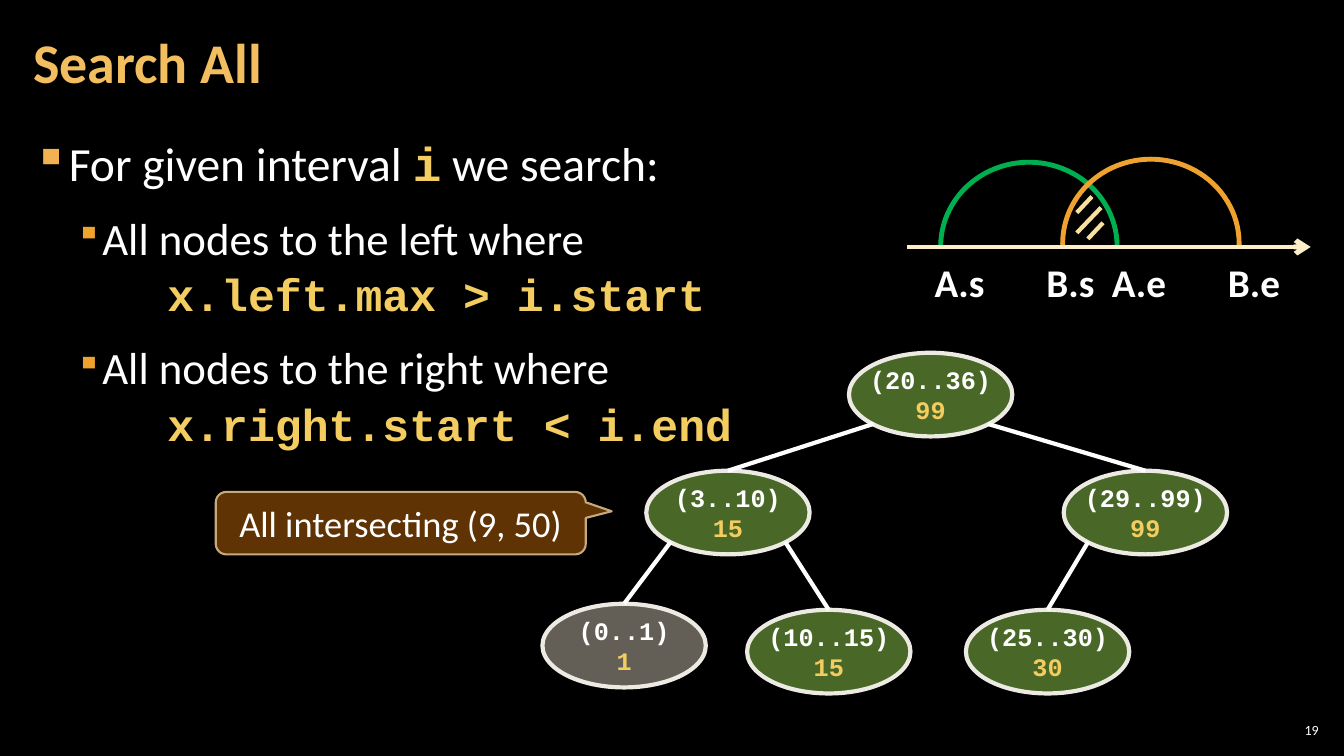
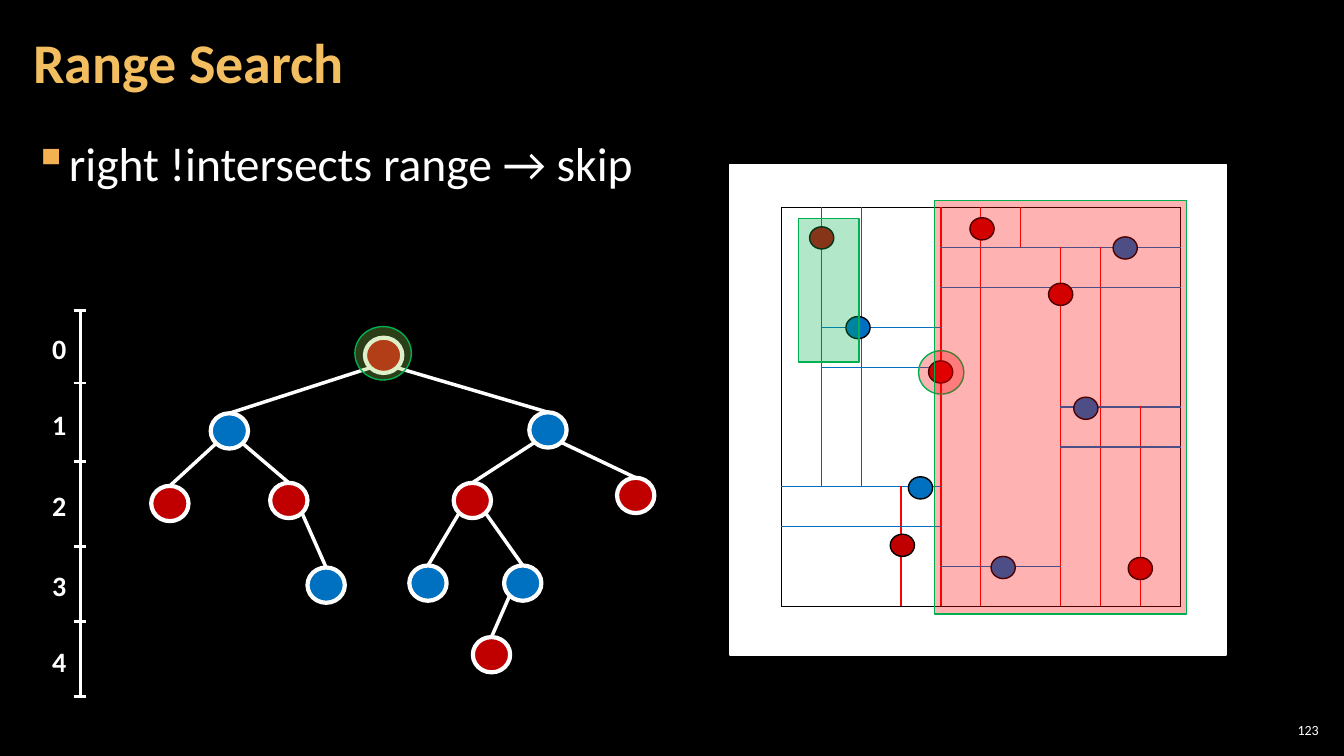
import collections
import itertools

import lxml.etree
import pptx
import pptx.dml.color
import pptx.enum.shapes
import pptx.enum.text
import pptx.oxml.ns
import pptx.util

Inches = pptx.util.Inches
Pt = pptx.util.Pt
qn = pptx.oxml.ns.qn
SHAPE = pptx.enum.shapes.MSO_SHAPE
STRAIGHT = pptx.enum.shapes.MSO_CONNECTOR.STRAIGHT
ALIGN = pptx.enum.text.PP_ALIGN
MIDDLE = pptx.enum.text.MSO_ANCHOR.MIDDLE
hex_color = pptx.dml.color.RGBColor.from_string

WHITE, BLACK, RED, BLUE = "FFFFFF", "000000", "C00000", "0070C0"
LIME, GREEN, ORANGE, YELLOW = "92D050", "00B050", "F0A22E", "F3CD60"
BRIGHT_RED = "FF0000"
CODE_FONT = "Courier New"


def paint(item, line, width=1, fill=None, opacity=100):
    item.line.color.rgb = hex_color(line)
    item.line.width = Pt(width)
    properties = item._element.spPr
    if fill:
        item.fill.solid()
        item.fill.fore_color.rgb = hex_color(fill)
        if opacity < 100:
            tint = properties.find(qn("a:solidFill"))[0]
            lxml.etree.SubElement(tint, qn("a:alpha")).set("val", str(opacity * 1000))
    elif hasattr(item, "fill"):
        item.fill.background()
    lxml.etree.SubElement(properties, qn("a:effectLst"))


def write(paragraph, text, size, color=WHITE, font="Calibri", bold=False, align=ALIGN.LEFT):
    paragraph.alignment = align
    run = paragraph.add_run()
    run.text = text
    run.font.size = Pt(size)
    run.font.name = font
    run.font.bold = bold
    run.font.color.rgb = hex_color(color)


deck = pptx.Presentation()
deck.slide_width, deck.slide_height = Inches(13.33), Inches(7.5)
backdrop = deck.slide_master.background.fill
backdrop.solid()
backdrop.fore_color.rgb = hex_color(BLACK)

# indent, hanging, size, space before, space after, bullet colour, bullet percent
levels = {
    "topic": (0.33, 0.33, 34, 6, 6, "F2B254", 100),
    "item": (0.67, 0.25, 32, 6, 0, ORANGE, 80),
    "code": (1.33, 0, 32, 0, 6, None, None),
}
pages = [
    ("Search All", "19", [
        ("topic", ["For given interval ", "i", " we search:"]),
        ("item", ["All nodes to the left where"]),
        ("code", ["x.left.max > i.start"]),
        ("item", ["All nodes to the right where"]),
        ("code", ["x.right.start < i.end"]),
    ]),
    ("Range Search", "123", [("topic", ["right !intersects range → skip"])]),
]
slides = []
for heading, number, outline in pages:
    slide = deck.slides.add_slide(deck.slide_layouts[5])
    slides.append(slide)
    title = slide.shapes.title
    title.left, title.top, title.width, title.height = map(Inches, (0.21, 0.04, 10.47, 1.21))
    body = slide.shapes.add_textbox(*map(Inches, (0.21, 1.26, 12.91, 6.09)))
    footer = slide.shapes.add_textbox(*map(Inches, (12.65, 7.14, 0.47, 0.21)))
    for part, inset in ((title, 0.12), (body, 0.12), (footer, 0.04)):
        frame = part.text_frame
        frame.word_wrap = True
        frame.margin_left = frame.margin_right = Inches(inset)
        frame.margin_top = frame.margin_bottom = Inches(0.04)
    title.text_frame.vertical_anchor = footer.text_frame.vertical_anchor = MIDDLE
    title.text_frame.paragraphs[0].line_spacing = 0.9
    write(title.text_frame.paragraphs[0], heading, 40, color="F3BE60", bold=True)
    write(footer.text_frame.paragraphs[0], number, 10, align=ALIGN.RIGHT)

    for row, (level, pieces) in enumerate(outline):
        indent, hanging, size, before, after, bullet, percent = levels[level]
        line = body.text_frame.add_paragraph() if row else body.text_frame.paragraphs[0]
        line.line_spacing = 1.05
        line.space_before, line.space_after = Pt(before), Pt(after)
        for position, piece in enumerate(pieces):
            if level == "code" or position % 2:
                write(line, piece, size, color=YELLOW, font=CODE_FONT, bold=True)
            else:
                write(line, piece, size)
        settings = line._p.get_or_add_pPr()
        settings.set("marL", str(Inches(indent)))
        settings.set("indent", str(-Inches(hanging)))
        if bullet:
            tint = lxml.etree.SubElement(settings, qn("a:buClr"))
            lxml.etree.SubElement(tint, qn("a:srgbClr")).set("val", bullet)
            lxml.etree.SubElement(settings, qn("a:buSzPct")).set("val", str(percent * 1000))
            lxml.etree.SubElement(settings, qn("a:buChar")).set("char", "▪")
        else:
            lxml.etree.SubElement(settings, qn("a:buNone"))

search, kd_range = slides

plot = kd_range.shapes.add_shape(SHAPE.RECTANGLE, *map(Inches, (7.24, 1.63, 4.92, 4.87)))
paint(plot, WHITE, fill=WHITE)

# left, top, fill, parent, labels
interval_nodes = [
    (8.42, 3.5, LIME, None, ("(20..36)", "99")),
    (6.41, 4.67, LIME, 0, ("(3..10)", "15")),
    (10.55, 4.67, LIME, 0, ("(29..99)", "99")),
    (5.38, 5.99, "C7BFAC", 1, ("(0..1)", "1")),
    (7.41, 6.05, LIME, 1, ("(10..15)", "15")),
    (9.58, 6.05, LIME, 2, ("(25..30)", "30")),
]
kd_nodes = [
    (3.62, 3.35, RED, None, ()),
    (2.09, 4.1, BLUE, 0, ()),
    (5.25, 4.09, BLUE, 0, ()),
    (1.5, 4.82, RED, 1, ()),
    (2.68, 4.79, RED, 1, ()),
    (4.5, 4.79, RED, 2, ()),
    (6.12, 4.74, RED, 2, ()),
    (3.05, 5.63, BLUE, 4, ()),
    (4.06, 5.61, BLUE, 5, ()),
    (5, 5.61, BLUE, 5, ()),
    (4.69, 6.32, RED, 9, ()),
]
trees = [
    (search, interval_nodes, 1.62, 0.83, "ECEAE3", 50, 3),
    (kd_range, kd_nodes, 0.37, 0.35, WHITE, 100, 2.5),
]
for slide, nodes, width, height, rim, opacity, edge_width in trees:
    for left, top, fill, parent, labels in nodes:
        node = slide.shapes.add_shape(SHAPE.OVAL, *map(Inches, (left, top, width, height)))
        paint(node, rim, 3, fill, opacity)
        frame = node.text_frame
        frame.word_wrap = False
        frame.vertical_anchor = MIDDLE
        for row, label in enumerate(labels):
            line = frame.add_paragraph() if row else frame.paragraphs[0]
            write(line, label, 18, color=YELLOW if row else WHITE, font=CODE_FONT,
                  bold=True, align=ALIGN.CENTER)
        if parent is not None:
            parent_left, parent_top = nodes[parent][:2]
            side = 0.15 if left < parent_left else 0.85
            edge = slide.shapes.add_connector(
                STRAIGHT, Inches(parent_left + side * width), Inches(parent_top + 0.85 * height),
                Inches(left + width / 2), Inches(top))
            edge.end_connect(node, 0)
            paint(edge, WHITE, edge_width)

for left, top, end_angle, color in ((9.33, 1.61, 0, GREEN), (10.54, 1.58, 1.59, ORANGE)):
    interval = search.shapes.add_shape(SHAPE.ARC, *map(Inches, (left, top, 1.75, 1.67)))
    interval.adjustments[0] = 107.15
    interval.adjustments[1] = end_angle
    paint(interval, color, 3.5)

number_line = search.shapes.add_connector(STRAIGHT, *map(Inches, (9, 2.45, 13, 2.45)))
paint(number_line, "FBEEC9", 3.5)
arrowhead = lxml.etree.SubElement(number_line.line._get_or_add_ln(), qn("a:tailEnd"))
arrowhead.set("type", "arrow")

for ends in ((10.83, 1.95, 10.68, 2.11), (10.92, 2.06, 10.68, 2.31), (10.94, 2.21, 10.79, 2.37)):
    hatch = search.shapes.add_connector(STRAIGHT, *map(Inches, ends))
    paint(hatch, "F8E19F", 3)

for endpoint, left in (("A.s", 9.17), ("B.s", 10.28), ("A.e", 10.93), ("B.e", 12.08)):
    caption = search.shapes.add_textbox(*map(Inches, (left, 2.51, 0.75, 0.57)))
    caption.text_frame.word_wrap = False
    write(caption.text_frame.paragraphs[0], endpoint, 28, bold=True)

query = search.shapes.add_shape(SHAPE.ROUNDED_RECTANGULAR_CALLOUT,
                                *map(Inches, (2.14, 4.88, 3.67, 0.62)))
for position, value in enumerate((0.57, -0.19, 0.17)):
    query.adjustments[position] = value
paint(query, "C6AA7E", 1.5, "663606", 95)
query.text_frame.word_wrap = True
query.text_frame.vertical_anchor = MIDDLE
write(query.text_frame.paragraphs[0], "All intersecting (9, 50)", 26, align=ALIGN.CENTER)

CELLS = 10
grid = kd_range.shapes.add_table(CELLS, CELLS, *map(Inches, (7.75, 2.06, 3.96, 3.96))).table
grid.first_row = grid.horz_banding = False
grid._tbl.tblPr.find(qn("a:tableStyleId")).text = "{2D5ABB26-0587-4C30-8999-92F81FD0307C}"

# grid line, first cell, cell after the last, colour
vertical_splits = [
    (0, 0, 10, BLACK), (1, 0, 7, BRIGHT_RED), (3, 7, 10, BRIGHT_RED), (4, 0, 10, BRIGHT_RED),
    (5, 0, 1, BRIGHT_RED), (7, 1, 10, BRIGHT_RED), (9, 5, 10, BRIGHT_RED), (10, 0, 10, BLACK),
]
horizontal_splits = [
    (0, 0, 10, BLACK), (1, 4, 10, BLUE), (3, 1, 4, BLUE), (5, 7, 10, BLUE),
    (7, 0, 4, BLUE), (9, 4, 7, BLUE), (10, 0, 10, BLACK),
]
borders = collections.defaultdict(dict)
for split, first, stop, color in vertical_splits:
    for row in range(first, stop):
        borders[row, split - 1]["a:lnR"] = color
        borders[row, split]["a:lnL"] = color
for split, first, stop, color in horizontal_splits:
    for column in range(first, stop):
        borders[split - 1, column]["a:lnB"] = color
        borders[split, column]["a:lnT"] = color
for row, column in itertools.product(range(CELLS), repeat=2):
    cell = grid.cell(row, column)
    cell.margin_left = cell.margin_right = cell.margin_top = cell.margin_bottom = 0
    settings = cell._tc.get_or_add_tcPr()
    for side in ("a:lnL", "a:lnR", "a:lnT", "a:lnB"):
        if side in borders[row, column]:
            border = lxml.etree.SubElement(settings, qn(side))
            border.set("w", str(Pt(1)))
            ink = lxml.etree.SubElement(border, qn("a:solidFill"))
            lxml.etree.SubElement(ink, qn("a:srgbClr")).set("val", borders[row, column][side])
    cell.fill.background()

kd_points = [
    (9.21, 3.58, RED), (9.01, 4.73, BLUE), (8.03, 2.25, RED), (8.39, 3.14, BLUE),
    (8.83, 5.3, RED), (10.4, 2.81, RED), (10.65, 3.94, BLUE), (11.04, 2.35, BLUE),
    (11.19, 5.53, RED), (9.83, 5.52, BLUE), (9.62, 2.16, RED),
]
for left, top, fill in kd_points:
    point = kd_range.shapes.add_shape(SHAPE.OVAL, *map(Inches, (left, top, 0.24, 0.22)))
    paint(point, BLACK, fill=fill)

highlights = [
    (SHAPE.RECTANGLE, 7.92, 2.17, 0.6, 1.42, GREEN),
    (SHAPE.OVAL, 3.52, 3.24, 0.56, 0.53, LIME),
    (SHAPE.OVAL, 9.11, 3.48, 0.45, 0.43, BRIGHT_RED),
    (SHAPE.RECTANGLE, 9.27, 1.99, 2.5, 4.1, BRIGHT_RED),
]
for outline, left, top, width, height, fill in highlights:
    highlight = kd_range.shapes.add_shape(outline, *map(Inches, (left, top, width, height)))
    paint(highlight, GREEN, fill=fill, opacity=30)

depth_ticks = [3.08, 3.8, 4.58, 5.42, 6.17, 6.91]
depth_lines = [(0.8, depth_ticks[0], 0.8, depth_ticks[-1])]
depth_lines += [(0.73, tick, 0.85, tick) for tick in depth_ticks]
for ends in depth_lines:
    depth_line = kd_range.shapes.add_connector(STRAIGHT, *map(Inches, ends))
    paint(depth_line, WHITE, 2)
for depth, (upper, lower) in enumerate(zip(depth_ticks, depth_ticks[1:])):
    middle = (upper + lower) / 2
    caption = kd_range.shapes.add_textbox(*map(Inches, (0.42, middle - 0.2, 0.34, 0.44)))
    caption.text_frame.word_wrap = False
    write(caption.text_frame.paragraphs[0], str(depth), 20, bold=True)

deck.save("out.pptx")
